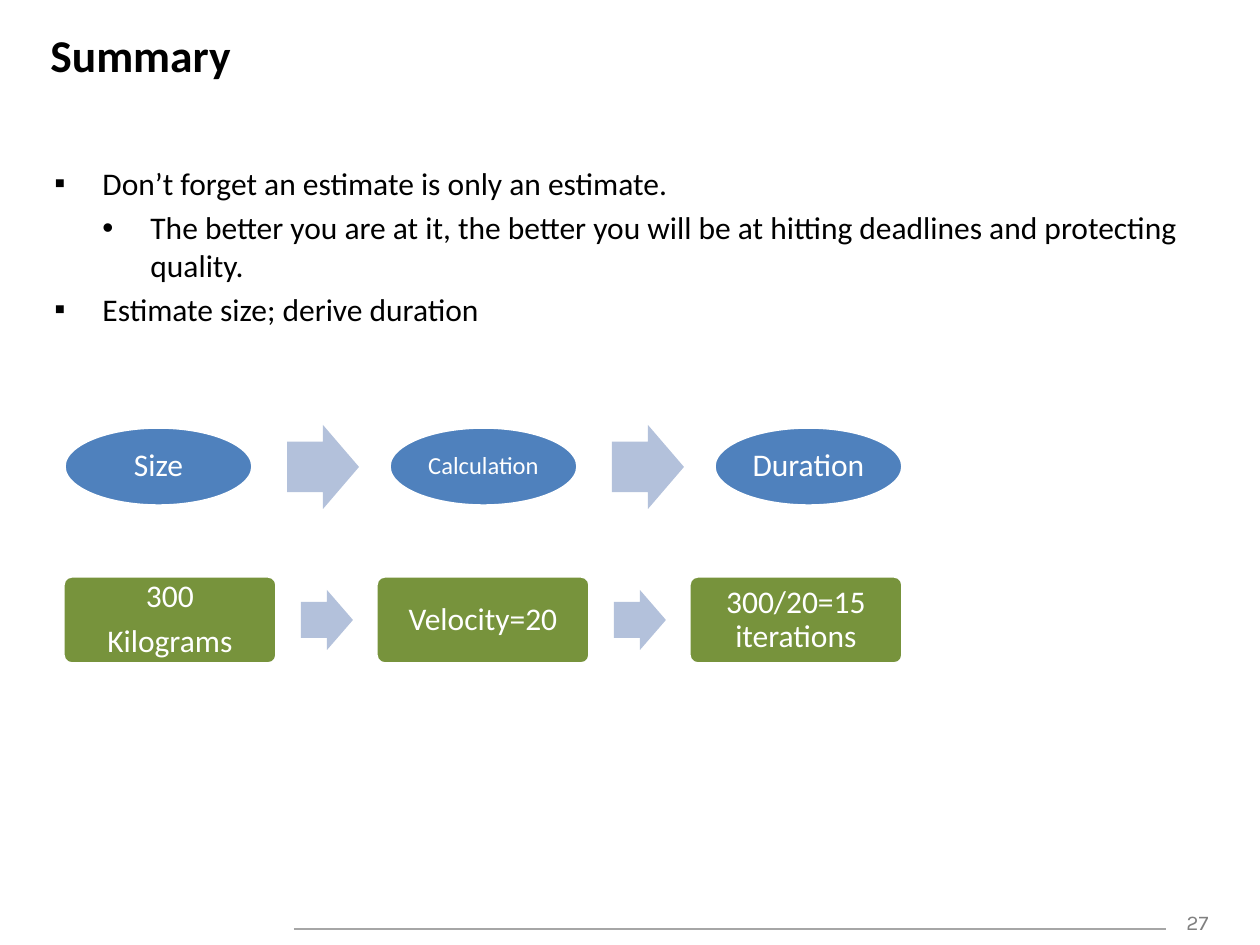
from dataclasses import dataclass

from lxml.etree import SubElement
from pptx import Presentation
from pptx.dml.color import RGBColor
from pptx.enum.shapes import MSO_CONNECTOR as Conn, MSO_SHAPE as Shape
from pptx.enum.text import MSO_ANCHOR as Anchor, PP_ALIGN as Align
from pptx.oxml.ns import qn
from pptx.util import Pt

EMU_PER_PX = 914400 / 126
COLORS = {
    "text": "000000", "white": "FFFFFF", "ellipse": "4F81BD", "box": "77933C",
    "arrow": "B3C1DB", "rule": "A6A6A6", "number": "808080",
}


@dataclass
class Box:
    x: int
    y: int
    w: int
    h: int

    def shifted(self, dx: int) -> "Box":
        return Box(self.x + dx, self.y, self.w, self.h)

    def emu(self) -> list[int]:
        return [px(v) for v in (self.x, self.y, self.w, self.h)]


@dataclass
class Step:
    lines: list[str]
    size: int = 18


@dataclass
class Flow:
    kind: Shape
    color: str
    node: Box
    arrow: Box
    pitch: int
    steps: list[Step]


@dataclass
class Bullet:
    text: str
    mark: str
    level: int


FLOWS = [
    Flow(Shape.OVAL, "ellipse", Box(64, 427, 189, 79), Box(287, 425, 72, 84), 325,
         [Step(["Size"]), Step(["Calculation"], 14), Step(["Duration"])]),
    Flow(Shape.ROUNDED_RECTANGLE, "box", Box(63, 576, 214, 88), Box(301, 590, 52, 60), 313,
         [Step(["300", "Kilograms"]), Step(["Velocity=20"]), Step(["300/20=15 iterations"])]),
]
BULLETS = [
    Bullet("Don’t forget an estimate is only an estimate.", "▪", 1),
    Bullet("The better you are at it, the better you will be at hitting deadlines "
           "and protecting quality.", "•", 2),
    Bullet("Estimate size; derive duration", "▪", 1),
]


def px(n: int) -> int:
    return round(n * EMU_PER_PX)


def rgb(name: str) -> RGBColor:
    return RGBColor.from_string(COLORS[name])


def write(tf, lines: list[str], size: int, color: str, align=Align.LEFT,
          font: str = "Calibri", bold: bool = False) -> None:
    tf.word_wrap = True
    tf.text = "\n".join(lines)
    for p in tf.paragraphs:
        p.alignment = align
        for r in p.runs:
            r.font.name, r.font.size, r.font.bold = font, Pt(size), bold
            r.font.color.rgb = rgb(color)


def add_text(s, box: Box, lines: list[str], size: int, color: str, **style):
    tf = s.shapes.add_textbox(*box.emu()).text_frame
    write(tf, lines, size, color, **style)
    return tf


def add_shape(s, kind: Shape, box: Box, color: str):
    sp = s.shapes.add_shape(kind, *box.emu())
    sp.shadow.inherit = False
    sp.fill.solid()
    sp.fill.fore_color.rgb = rgb(color)
    return sp


def add_node(s, flow: Flow, box: Box, step: Step) -> None:
    sp = add_shape(s, flow.kind, box, flow.color)
    sp.line.color.rgb = rgb("white")
    sp.line.width = Pt(2)
    if flow.kind == Shape.ROUNDED_RECTANGLE:
        sp.adjustments[0] = 0.1
    tf = sp.text_frame
    tf.margin_left = tf.margin_right = tf.margin_top = tf.margin_bottom = px(8)
    tf.vertical_anchor = Anchor.MIDDLE
    write(tf, step.lines, step.size, "white", align=Align.CENTER)
    for p in tf.paragraphs:
        p.line_spacing = 0.9
        p.space_after = Pt(round(step.size * 0.35, 1))


def add_arrow(s, box: Box) -> None:
    sp = add_shape(s, Shape.RIGHT_ARROW, box, "arrow")
    sp.line.fill.background()
    sp.adjustments[0], sp.adjustments[1] = 0.6, 0.5


def add_flow(s, flow: Flow) -> None:
    for i, step in enumerate(flow.steps):
        if i:
            add_arrow(s, flow.arrow.shifted((i - 1) * flow.pitch))
        add_node(s, flow, flow.node.shifted(i * flow.pitch), step)


def add_bullets(s, box: Box, bullets: list[Bullet]) -> None:
    tf = add_text(s, box, [b.text for b in bullets], 18, "text")
    for p, b in zip(tf.paragraphs, bullets):
        p.level = b.level - 1
        p.space_before = Pt(3.6)
        pPr = p._p.get_or_add_pPr()
        pPr.set("marL", str(px(48 * b.level)))
        pPr.set("indent", str(px(-48)))
        SubElement(pPr, qn("a:buFont"), typeface="Arial")
        SubElement(pPr, qn("a:buChar"), char=b.mark)


def add_rule(s, x1: int, x2: int, y: int) -> None:
    line = s.shapes.add_connector(Conn.STRAIGHT, px(x1), px(y), px(x2), px(y))
    line.line.color.rgb = rgb("rule")
    line.line.width = Pt(0.75)
    SubElement(line._element.spPr, qn("a:effectLst"))


def main() -> None:
    prs = Presentation()
    prs.slide_width, prs.slide_height = px(1260), px(945)
    s = prs.slides.add_slide(prs.slide_layouts[6])

    # Footer
    add_text(s, Box(1166, 903, 63, 38), ["27"], 12, "number", align=Align.CENTER, font="Karla")
    add_rule(s, 294, 1166, 929)

    # Title and bullets
    title = add_text(s, Box(38, 15, 1179, 79), ["Summary"], 26, "text", bold=True)
    title.vertical_anchor = Anchor.MIDDLE
    add_bullets(s, Box(42, 158, 1176, 703), BULLETS)

    # Flows from size to duration
    for flow in FLOWS:
        add_flow(s, flow)

    prs.save("out.pptx")


if __name__ == "__main__":
    main()
